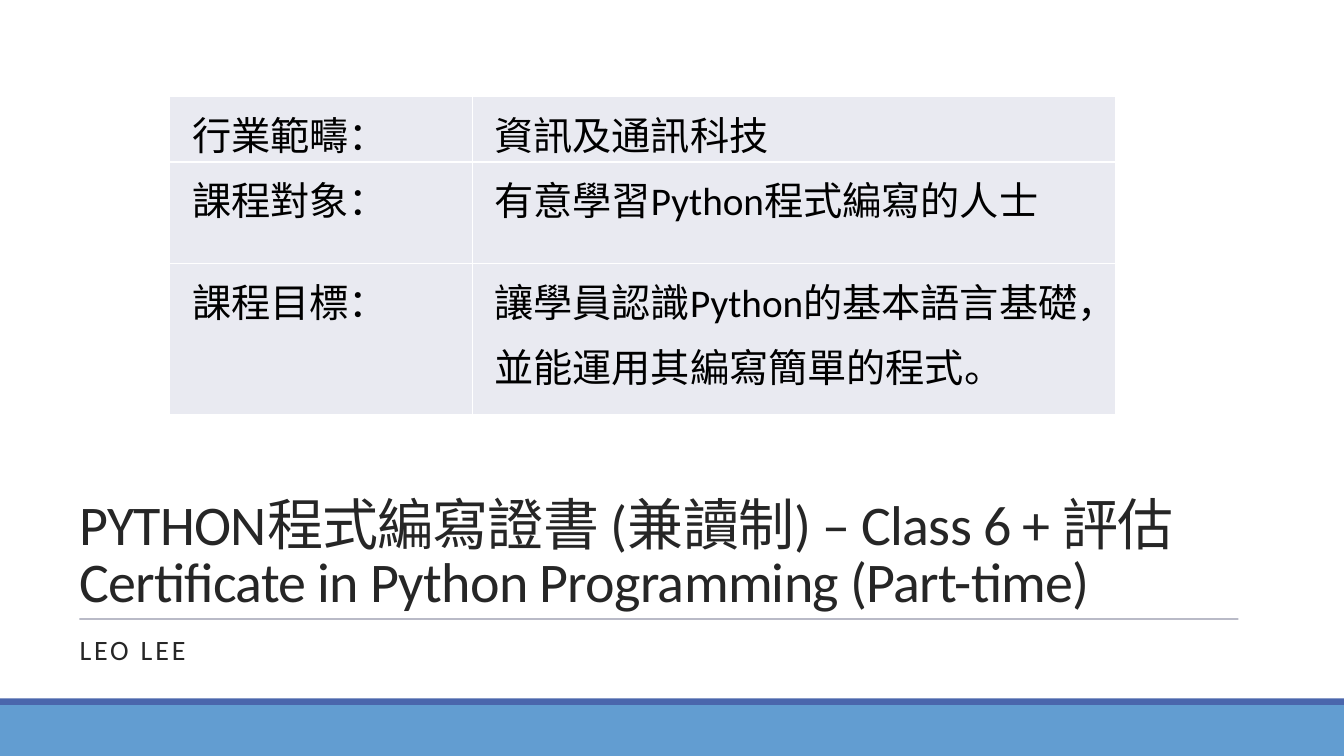
from lxml.etree import SubElement
from pptx import Presentation
from pptx.dml.color import RGBColor
from pptx.enum.shapes import MSO_CONNECTOR as Connector, MSO_SHAPE as Shape
from pptx.enum.text import MSO_ANCHOR as Anchor, MSO_AUTO_SIZE as AutoSize, PP_ALIGN as Align
from pptx.oxml.ns import qn
from pptx.util import Cm, Pt

FONT = "Calibri"
WHITE = RGBColor(0xFF, 0xFF, 0xFF)
BLACK = RGBColor(0x00, 0x00, 0x00)
TEXT = RGBColor(0x26, 0x26, 0x26)
RULE = RGBColor(0x24, 0x28, 0x52)
DARK_BAND = RGBColor(0x4A, 0x66, 0xAC)
LIGHT_BAND = RGBColor(0x62, 0x9D, 0xD1)
CELL = RGBColor(0xE9, 0xEA, 0xF1)

SLIDE_WIDTH, SLIDE_HEIGHT = 33.87, 19.05
COURSE_ROWS = [
    ("行業範疇：", "資訊及通訊科技"),
    ("課程對象：", "有意學習Python程式編寫的人士"),
    ("課程目標：", "讓學員認識Python的基本語言基礎，並能運用其編寫簡單的程式。"),
]
TITLE = "PYTHON程式編寫證書 (兼讀制) – Class 6 + 評估\vCertificate in Python Programming (Part-time)"


def style_paragraph(paragraph, size, color, line_spacing):
    paragraph.alignment = Align.LEFT
    paragraph.line_spacing = line_spacing
    paragraph.font.name = FONT
    paragraph.font.size = Pt(size)
    paragraph.font.color.rgb = color


def fill_placeholder(placeholder, box, text, size, line_spacing, anchor, tracking):
    """Place a text placeholder; tracking is in hundredths of a point."""
    placeholder.left, placeholder.top, placeholder.width, placeholder.height = map(Cm, box)
    frame = placeholder.text_frame
    frame.text = text
    frame.word_wrap = True
    frame.auto_size = AutoSize.NONE
    frame.vertical_anchor = anchor
    paragraph = frame.paragraphs[0]
    style_paragraph(paragraph, size, TEXT, line_spacing)
    paragraph._p.pPr.find(qn("a:defRPr")).set("spc", str(tracking))
    return paragraph


def add_heading(slide, left, top, width):
    """Course title, rule and presenter, stacked from the top of the box."""
    title_height = 2.95
    fill_placeholder(slide.shapes.title, (left, top, width, title_height),
                     TITLE, 40, 0.85, Anchor.BOTTOM, -50)
    presenter = fill_placeholder(slide.placeholders[1], (left, top + 3.25, width, 1.42),
                                 "LEO LEE", 20, 0.9, Anchor.TOP, 200)
    presenter.space_before = Pt(12)
    presenter.space_after = Pt(2)

    # Rule between title and presenter
    rule_y = Cm(top + title_height)
    rule = slide.shapes.add_connector(Connector.STRAIGHT, Cm(left + 0.25), rule_y,
                                      Cm(left + 29.46), rule_y)
    rule.line.color.rgb = RULE
    rule.line.width = Pt(0.5)
    color = rule.line._ln.find(".//" + qn("a:srgbClr"))
    SubElement(color, qn("a:alpha"), val="90000")
    SubElement(rule._element.spPr, qn("a:effectLst"))


def add_band(slide, top, height, color):
    band = slide.shapes.add_shape(Shape.RECTANGLE, 0, Cm(top), Cm(SLIDE_WIDTH), Cm(height))
    band.shadow.inherit = False
    band.fill.solid()
    band.fill.fore_color.rgb = color
    band.line.fill.background()


def add_footer(slide, top):
    """Thin dark band over a light band that runs to the slide's foot."""
    dark_height = 0.17
    light_top = top + dark_height
    add_band(slide, top, dark_height, DARK_BAND)
    add_band(slide, light_top, SLIDE_HEIGHT - light_top, LIGHT_BAND)


def format_cell(cell, text):
    cell.text = text
    cell.margin_left = cell.margin_right = Cm(0.56)
    cell.margin_top = cell.margin_bottom = 0
    cell.vertical_anchor = Anchor.TOP
    style_paragraph(cell.text_frame.paragraphs[0], 28, BLACK, 1.15)

    # White borders, which must precede the fill
    properties = cell._tc.get_or_add_tcPr()
    for side in ("a:lnL", "a:lnR", "a:lnT", "a:lnB"):
        border = SubElement(properties, qn(side), w=str(Pt(1)))
        SubElement(SubElement(border, qn("a:solidFill")), qn("a:srgbClr"), val=str(WHITE))
    cell.fill.solid()
    cell.fill.fore_color.rgb = CELL


def add_course_table(slide, left, top):
    column_widths = (7.62, 16.22)
    row_heights = (1.32, 2.56, 3.8)
    table = slide.shapes.add_table(
        len(row_heights), len(column_widths), Cm(left), Cm(top),
        Cm(sum(column_widths)), Cm(sum(row_heights))).table
    table.first_row = False
    table.horz_banding = False
    for column, width in zip(table.columns, column_widths):
        column.width = Cm(width)
    for row, height, texts in zip(table.rows, row_heights, COURSE_ROWS):
        row.height = Cm(height)
        for cell, text in zip(row.cells, texts):
            format_cell(cell, text)


def main():
    presentation = Presentation()
    presentation.slide_width = Cm(SLIDE_WIDTH)
    presentation.slide_height = Cm(SLIDE_HEIGHT)
    slide = presentation.slides.add_slide(presentation.slide_layouts[0])
    add_heading(slide, left=1.75, top=12.65, width=30.3)
    add_footer(slide, top=17.6)
    add_course_table(slide, left=4.28, top=2.44)
    presentation.save("out.pptx")


if __name__ == "__main__":
    main()
